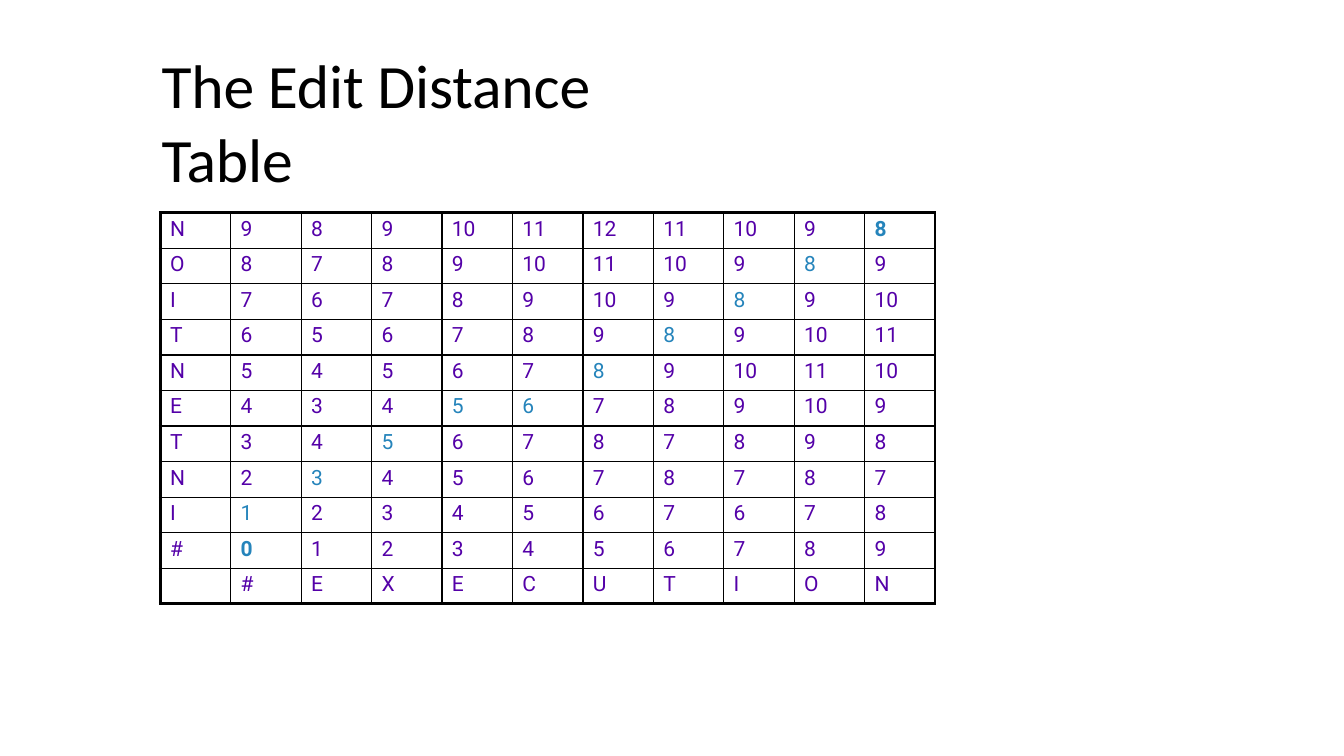
"""Build the edit distance table slide for INTENTION and EXECUTION."""
from dataclasses import dataclass

from lxml import etree
from pptx import Presentation
from pptx.dml.color import RGBColor
from pptx.enum.text import MSO_ANCHOR, MSO_AUTO_SIZE, PP_ALIGN
from pptx.oxml.ns import qn
from pptx.util import Cm, Pt

TOP = MSO_ANCHOR.TOP
LEFT = PP_ALIGN.LEFT
GROW = MSO_AUTO_SIZE.SHAPE_TO_FIT_TEXT
TITLE_ONLY = 5


@dataclass(frozen=True)
class Theme:
    """Colours, fonts and sizes of the slide."""
    black: RGBColor = RGBColor(0x00, 0x00, 0x00)
    purple: RGBColor = RGBColor(0x54, 0x00, 0xA8)
    blue: RGBColor = RGBColor(0x25, 0x84, 0xBB)
    title_font: str = "Calibri"
    table_font: str = "Roboto"
    title_size: float = 44
    table_size: float = 15
    inner_line: float = 1
    outer_line: float = 2.25


THEME = Theme()

DISTANCE_ROWS = [
    "N 9 8 9 10 11 12 11 10 9 8",
    "O 8 7 8 9 10 11 10 9 8 9",
    "I 7 6 7 8 9 10 9 8 9 10",
    "T 6 5 6 7 8 9 8 9 10 11",
    "N 5 4 5 6 7 8 9 10 11 10",
    "E 4 3 4 5 6 7 8 9 10 9",
    "T 3 4 5 6 7 8 7 8 9 8",
    "N 2 3 4 5 6 7 8 7 8 7",
    "I 1 2 3 4 5 6 7 6 7 8",
    "# 0 1 2 3 4 5 6 7 8 9",
]
GRID = [row.split() for row in DISTANCE_ROWS] + [["", *"#EXECUTION"]]
PATH_ENDS = {(0, 10), (9, 1)}
PATH_CELLS = PATH_ENDS | {(1, 9), (2, 8), (3, 7), (4, 6), (5, 5), (5, 4),
                          (6, 3), (7, 2), (8, 1)}


def add_run(paragraph, text, font_name, size, color, bold=False):
    """Add one formatted run to a paragraph."""
    run = paragraph.add_run()
    run.text = text
    run.font.name = font_name
    run.font.size = Pt(size)
    run.font.color.rgb = color
    run.font.bold = bold
    return run


def set_title(slide, text):
    """Place and fill the title placeholder."""
    title = slide.shapes.title
    title.left, title.top = Cm(4.04), Cm(1.15)
    title.width, title.height = Cm(14.42), Cm(1.9)
    frame = title.text_frame
    frame.margin_left = frame.margin_top = Cm(0.03)
    frame.margin_right = frame.margin_bottom = 0
    frame.vertical_anchor = TOP
    frame.word_wrap = True
    frame.auto_size = GROW
    paragraph = frame.paragraphs[0]
    paragraph.alignment = LEFT
    run = add_run(paragraph, text, THEME.title_font, THEME.title_size, THEME.black)
    run.font._element.set("spc", "-10")


def set_borders(cell, widths):
    """Draw the left, right, top and bottom borders of a cell."""
    properties = cell._tc.get_or_add_tcPr()
    for side, width in zip("LRTB", widths):
        line = etree.SubElement(properties, qn(f"a:ln{side}"), w=str(Pt(width)))
        fill = etree.SubElement(line, qn("a:solidFill"))
        etree.SubElement(fill, qn("a:srgbClr"), val=str(THEME.black))


def fill_cell(cell, text, position):
    """Format a cell and write its letter or distance."""
    row, column = position
    last_row, last_column = len(GRID) - 1, len(GRID[0]) - 1
    on_edge = (column == 0, column == last_column, row == 0, row == last_row)
    set_borders(cell, [THEME.outer_line if edge else THEME.inner_line
                       for edge in on_edge])
    cell.fill.background()
    cell.margin_left, cell.margin_top = Cm(0.25), Cm(0.1)
    cell.margin_right = cell.margin_bottom = 0
    cell.vertical_anchor = TOP
    if text:
        color = THEME.blue if position in PATH_CELLS else THEME.purple
        add_run(cell.text_frame.paragraphs[0], text, THEME.table_font,
                THEME.table_size, color, position in PATH_ENDS)


def add_distance_table(slide):
    """Add the grid of edit distances with its lowest-cost path."""
    frame = slide.shapes.add_table(len(GRID), len(GRID[0]), Cm(4.04), Cm(5.36),
                                   Cm(19.53), Cm(9.86))
    table = frame.table
    table.first_row = table.horz_banding = False
    for row, texts in enumerate(GRID):
        for column, text in enumerate(texts):
            fill_cell(table.cell(row, column), text, (row, column))


def main():
    """Create the presentation and save it."""
    presentation = Presentation()
    presentation.slide_width, presentation.slide_height = Cm(33.87), Cm(19.05)
    slide = presentation.slides.add_slide(presentation.slide_layouts[TITLE_ONLY])
    set_title(slide, "The Edit Distance Table")
    add_distance_table(slide)
    presentation.save("out.pptx")


if __name__ == "__main__":
    main()
